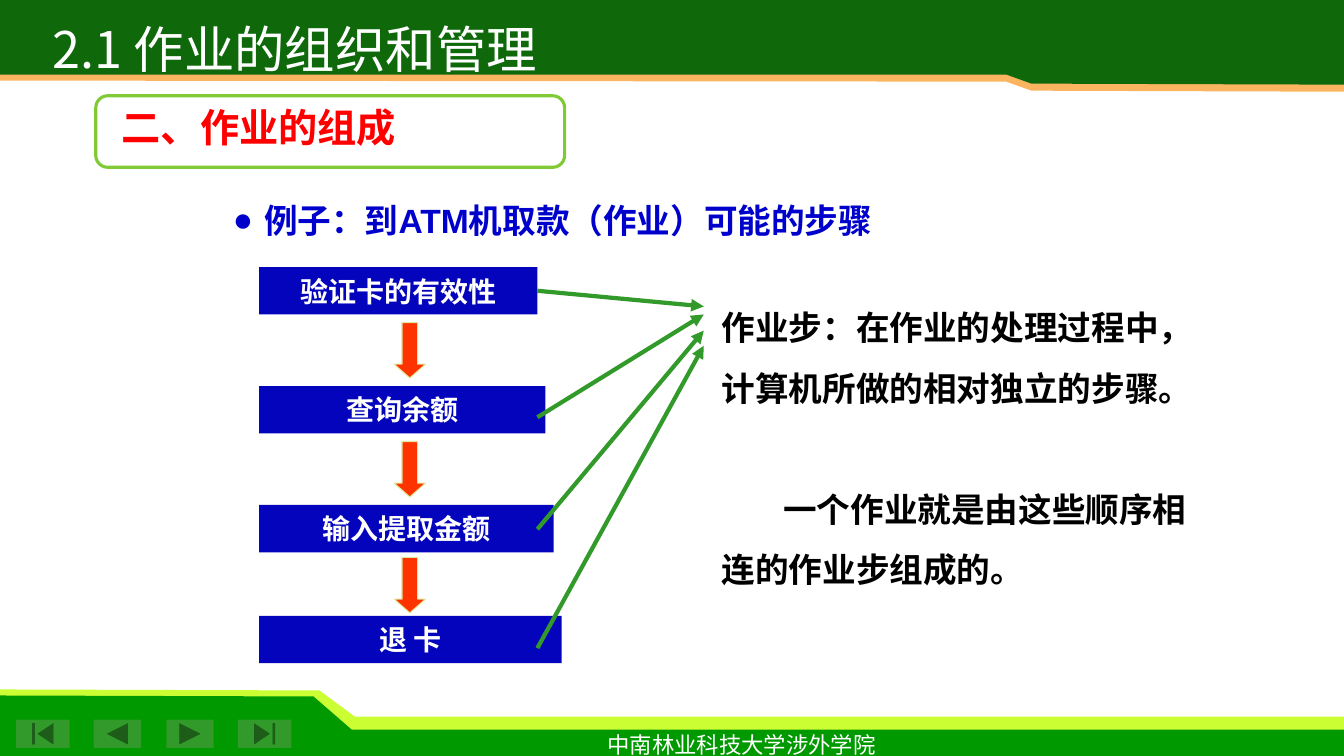
from lxml.etree import SubElement
from pptx import Presentation
from pptx.dml.color import RGBColor
from pptx.enum.shapes import MSO_CONNECTOR, MSO_SHAPE
from pptx.enum.text import MSO_ANCHOR, MSO_AUTO_SIZE, PP_ALIGN
from pptx.oxml.ns import qn
from pptx.util import Inches, Pt


def color(value):
    return RGBColor.from_string(value)


def write(frame, text, size=24, font="Times New Roman", ink="000000", bold=False,
          align=PP_ALIGN.LEFT, anchor=MSO_ANCHOR.TOP, wrap=True, bullet=None,
          margin=0, indent=0, spacing=None, before=0):
    frame.auto_size = MSO_AUTO_SIZE.NONE
    frame.word_wrap = wrap
    frame.vertical_anchor = anchor
    para = frame.add_paragraph() if frame.text else frame.paragraphs[0]
    properties = para._p.get_or_add_pPr()
    properties.set("marL", str(Inches(margin)))
    properties.set("indent", str(Inches(indent)))
    if bullet:
        SubElement(properties, qn("a:buChar")).set("char", bullet)
    para.alignment = align
    para.line_spacing = spacing
    para.space_before = Pt(before)
    span = para.add_run()
    span.text = text
    span.font.size = Pt(size)
    span.font.name = font
    span.font.bold = bold
    span.font.color.rgb = color(ink)
    SubElement(span.font._element, qn("a:ea")).set("typeface", "Noto Sans CJK SC")


deck = Presentation()
deck.slide_width = Inches(13.33)
deck.slide_height = Inches(7.5)
page = deck.slides.add_slide(deck.slide_layouts[1])
shapes = page.shapes
title, body = shapes.title, page.placeholders[1]

bands = [
    ("CCFF33", [(0, 7.4), (13.33, 7.4), (13.33, 7.11), (3.52, 7.11), (3.17, 6.85), (0, 6.84)]),
    ("009900", [(0, 7.5), (13.33, 7.5), (13.33, 7.24), (3.49, 7.24), (3.11, 6.91), (0, 6.9)]),
    ("FBB561", [(13.33, 0), (0, 0), (0, 0.8), (9.98, 0.81), (10.23, 0.9), (13.33, 0.91)]),
    ("0F690B", [(13.33, 0), (0, 0), (0, 0.74), (9.98, 0.74), (10.23, 0.83), (13.33, 0.84)]),
]
for fill, corners in bands:
    points = [(Inches(x), Inches(y)) for x, y in corners]
    builder = shapes.build_freeform(*points[0])
    builder.add_line_segments(points[1:])
    band = builder.convert_to_shape()
    band.shadow.inherit = False
    band.fill.solid()
    band.fill.fore_color.rgb = color(fill)
    band.line.fill.background()

buttons = [
    (MSO_SHAPE.ACTION_BUTTON_BEGINNING, 0.16, 0.53),
    (MSO_SHAPE.ACTION_BUTTON_BACK_OR_PREVIOUS, 0.93, 0.47),
    (MSO_SHAPE.ACTION_BUTTON_FORWARD_OR_NEXT, 1.65, 0.47),
    (MSO_SHAPE.ACTION_BUTTON_END, 2.36, 0.53),
]
for kind, left, width in buttons:
    button = shapes.add_shape(kind, Inches(left), Inches(7.14), Inches(width), Inches(0.28))
    button.shadow.inherit = False
    button.fill.solid()
    button.fill.fore_color.rgb = color("329A2A")
    button.line.fill.background()

school = shapes.add_textbox(Inches(5.91), Inches(7.2), Inches(2.89), Inches(0.3))
write(school.text_frame, "中南林业科技大学涉外学院", size=16, ink="FFFFFF",
      align=PP_ALIGN.CENTER, wrap=False)

body.element.getparent().append(body.element)
body.left, body.top, body.width, body.height = Inches(1.71), Inches(1.93), Inches(9.37), Inches(0.64)
write(body.text_frame, "例子：到ATM机取款（作业）可能的步骤", font="Arial", ink="0000CC",
      bold=True, bullet="●", margin=0.81, indent=-0.31)

steps = [("验证卡的有效性", 2.65), ("查询余额", 3.83), ("输入提取金额", 5.01), ("退 卡", 6.11)]
step_boxes = []
for index, (text, top) in enumerate(steps):
    box = shapes.add_shape(MSO_SHAPE.RECTANGLE, Inches(2.57), Inches(top),
                           Inches(2.76 + 0.08 * index), Inches(0.47))
    box.shadow.inherit = False
    box.fill.solid()
    box.fill.fore_color.rgb = color("0404BC")
    box.line.fill.background()
    write(box.text_frame, text, size=20, ink="FFFFFF", bold=True,
          align=PP_ALIGN.CENTER, anchor=MSO_ANCHOR.MIDDLE, wrap=False)
    step_boxes.append(box)

for top in (3.2, 4.38, 5.53):
    arrow = shapes.add_shape(MSO_SHAPE.DOWN_ARROW, Inches(3.91), Inches(top),
                             Inches(0.31), Inches(0.55))
    arrow.adjustments[1] = 0.44
    arrow.shadow.inherit = False
    arrow.fill.solid()
    arrow.fill.fore_color.rgb = color("FF3300")
    arrow.line.color.rgb = color("DDE89A")
    arrow.line.width = Pt(0.75)

explanation = shapes.add_textbox(Inches(7.06), Inches(2.8), Inches(4.88), Inches(3.05))
write(explanation.text_frame, "作业步：在作业的处理过程中，计算机所做的相对独立的步骤。",
      bold=True, spacing=1.5)
write(explanation.text_frame, "一个作业就是由这些顺序相连的作业步组成的。",
      bold=True, spacing=1.5, indent=0.61, before=43)

pointers = []
for start, end in [(2.88, 3.04), (4.14, 3.12), (5.25, 3.28), (6.43, 3.43)]:
    pointer = shapes.add_connector(MSO_CONNECTOR.STRAIGHT, Inches(5.33), Inches(start),
                                   Inches(6.98), Inches(end))
    pointer.line.color.rgb = color("329A2A")
    pointer.line.width = Pt(3)
    SubElement(pointer.line._get_or_add_ln(), qn("a:tailEnd")).set("type", "triangle")
    SubElement(pointer.element.spPr, qn("a:effectLst"))
    pointers.append(pointer)
pointers[0].begin_connect(step_boxes[0], 3)

frame_box = shapes.add_shape(MSO_SHAPE.ROUNDED_RECTANGLE, Inches(0.95), Inches(0.95),
                             Inches(4.65), Inches(0.71))
frame_box.shadow.inherit = False
frame_box.fill.solid()
frame_box.fill.fore_color.rgb = color("FFFFFF")
frame_box.line.color.rgb = color("80CB35")
frame_box.line.width = Pt(2.25)

heading = shapes.add_textbox(Inches(1.11), Inches(0.98), Inches(4.46), Inches(0.57))
write(heading.text_frame, "二、作业的组成", size=28, font="Arial", ink="FF0000", bold=True)

title.element.getparent().append(title.element)
title.left, title.top, title.width, title.height = Inches(0.52), Inches(0.13), Inches(5.04), Inches(0.46)
title.text_frame.margin_left = title.text_frame.margin_right = 0
write(title.text_frame, "2.1 作业的组织和管理", size=36, font="Noto Sans CJK SC",
      ink="FFFFFF", wrap=False)

deck.save("out.pptx")
